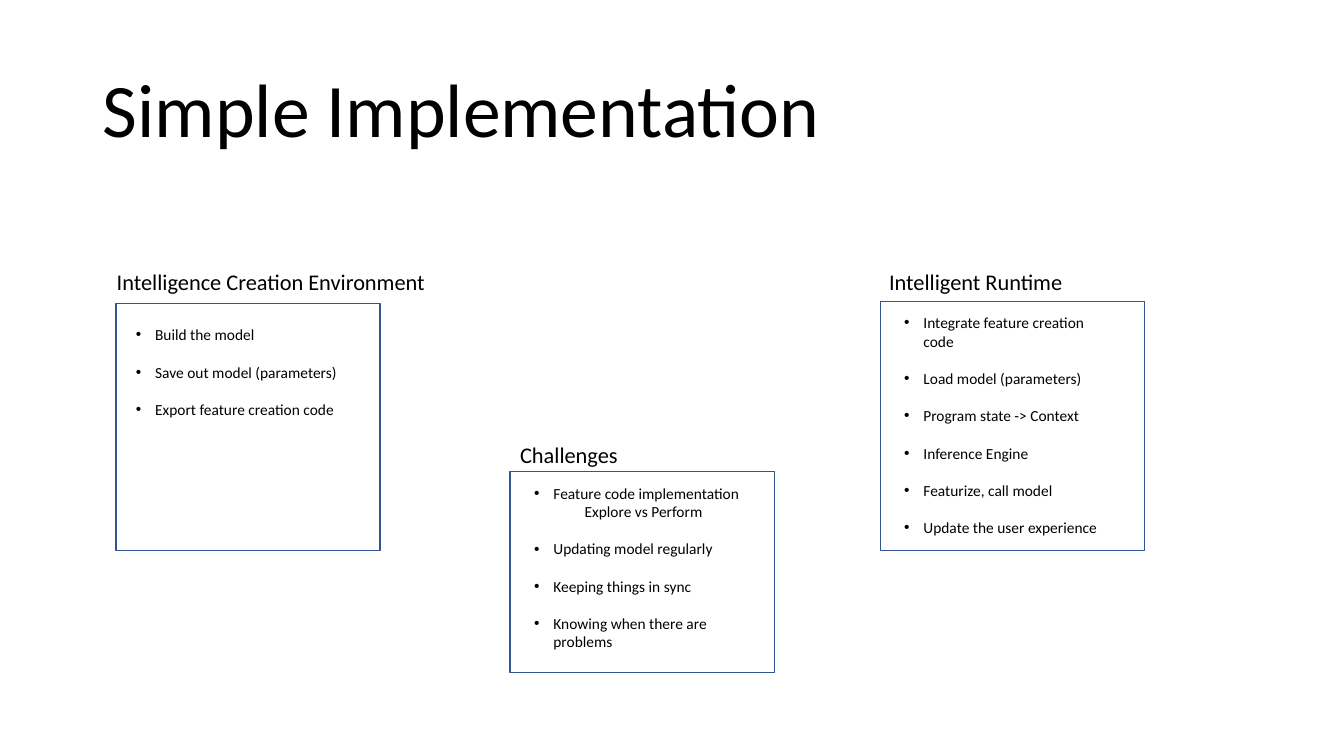
from dataclasses import dataclass

from lxml.etree import SubElement
from pptx import Presentation
from pptx.dml.color import RGBColor
from pptx.enum.shapes import MSO_SHAPE
from pptx.enum.text import MSO_ANCHOR
from pptx.oxml.ns import qn
from pptx.util import Inches, Pt

BLACK = RGBColor(0x00, 0x00, 0x00)
WHITE = RGBColor(0xFF, 0xFF, 0xFF)
BLUE = RGBColor(0x32, 0x54, 0x91)
FONT = "Calibri"

FRAME_WIDTH = 2.62
HANGING = 0.19
SUB_INDENT = 0.5
ITEM_GAP = Pt(13.4)  # one line of 11 pt text


@dataclass
class Panel:
    heading: str
    items: list  # a tuple holds an item and its sub-line
    frame: tuple  # left, top, height
    heading_box: tuple  # offset from frame, width
    list_box: tuple  # offset from frame, width, height


PANELS = [
    Panel("Intelligence Creation Environment",
          ["Build the model", "Save out model (parameters)",
           "Export feature creation code"],
          (1.15, 3.01, 2.45), (-0.09, -0.4, 3.3), (0.1, 0.17, 2.37, 1.03)),
    Panel("Intelligent Runtime",
          ["Integrate feature creation code", "Load model (parameters)",
           "Program state -> Context", "Inference Engine",
           "Featurize, call model", "Update the user experience"],
          (8.73, 2.99, 2.47), (-0.01, -0.38, 1.94), (0.14, 0.07, 2.24, 2.32)),
    Panel("Challenges",
          [("Feature code implementation", "Explore vs Perform"),
           "Updating model regularly", "Keeping things in sync",
           "Knowing when there are problems"],
          (5.06, 4.68, 1.99), (0, -0.35, 1.18), (0.14, 0.07, 2.39, 1.77)),
]


def add_text_box(slide, left, top, width, height, wrap=True):
    box = slide.shapes.add_textbox(*map(Inches, (left, top, width, height)))
    box.text_frame.word_wrap = wrap
    return box.text_frame


def add_run(paragraph, text, size):
    run = paragraph.add_run()
    run.text = text
    run.font.name = FONT
    run.font.size = Pt(size)
    run.font.color.rgb = BLACK


def set_indent(paragraph, left, first=0, bullet=None):
    properties = paragraph._p.get_or_add_pPr()
    properties.set("marL", str(Inches(left)))
    properties.set("indent", str(Inches(first)))
    if bullet:
        SubElement(properties, qn("a:buFont"), typeface="Arial")
        SubElement(properties, qn("a:buChar"), char=bullet)


def add_title(slide, text, left, top, width, height):
    frame = add_text_box(slide, left, top, width, height)
    frame.vertical_anchor = MSO_ANCHOR.MIDDLE
    title = frame.paragraphs[0]
    title.line_spacing = 0.9
    add_run(title, text, 54)


def add_bullets(frame, items):
    for index, item in enumerate(items):
        main, *sub_lines = item if isinstance(item, tuple) else (item,)
        paragraph = frame.add_paragraph() if index else frame.paragraphs[0]
        set_indent(paragraph, HANGING, -HANGING, "•")
        if index:
            paragraph.space_before = ITEM_GAP
        add_run(paragraph, main, 11)
        for line in sub_lines:
            sub_paragraph = frame.add_paragraph()
            set_indent(sub_paragraph, SUB_INDENT)
            add_run(sub_paragraph, line, 11)


def add_panel(slide, panel):
    left, top, height = panel.frame

    # Outlined frame
    frame = slide.shapes.add_shape(
        MSO_SHAPE.RECTANGLE, *map(Inches, (left, top, FRAME_WIDTH, height)))
    frame.shadow.inherit = False
    frame.fill.solid()
    frame.fill.fore_color.rgb = WHITE
    frame.line.color.rgb = BLUE
    frame.line.width = Pt(1)

    # Heading above the frame
    dx, dy, width = panel.heading_box
    heading = add_text_box(slide, left + dx, top + dy, width, 0.37, wrap=False)
    add_run(heading.paragraphs[0], panel.heading, 16)

    # Bulleted list inside the frame
    dx, dy, width, list_height = panel.list_box
    add_bullets(add_text_box(slide, left + dx, top + dy, width, list_height),
                panel.items)


def main():
    deck = Presentation()
    deck.slide_width = Inches(13.33)
    deck.slide_height = Inches(7.5)
    slide = deck.slides.add_slide(deck.slide_layouts[6])
    add_title(slide, "Simple Implementation", 0.92, 0.4, 11.5, 1.45)
    for panel in PANELS:
        add_panel(slide, panel)
    deck.save("out.pptx")


if __name__ == "__main__":
    main()
